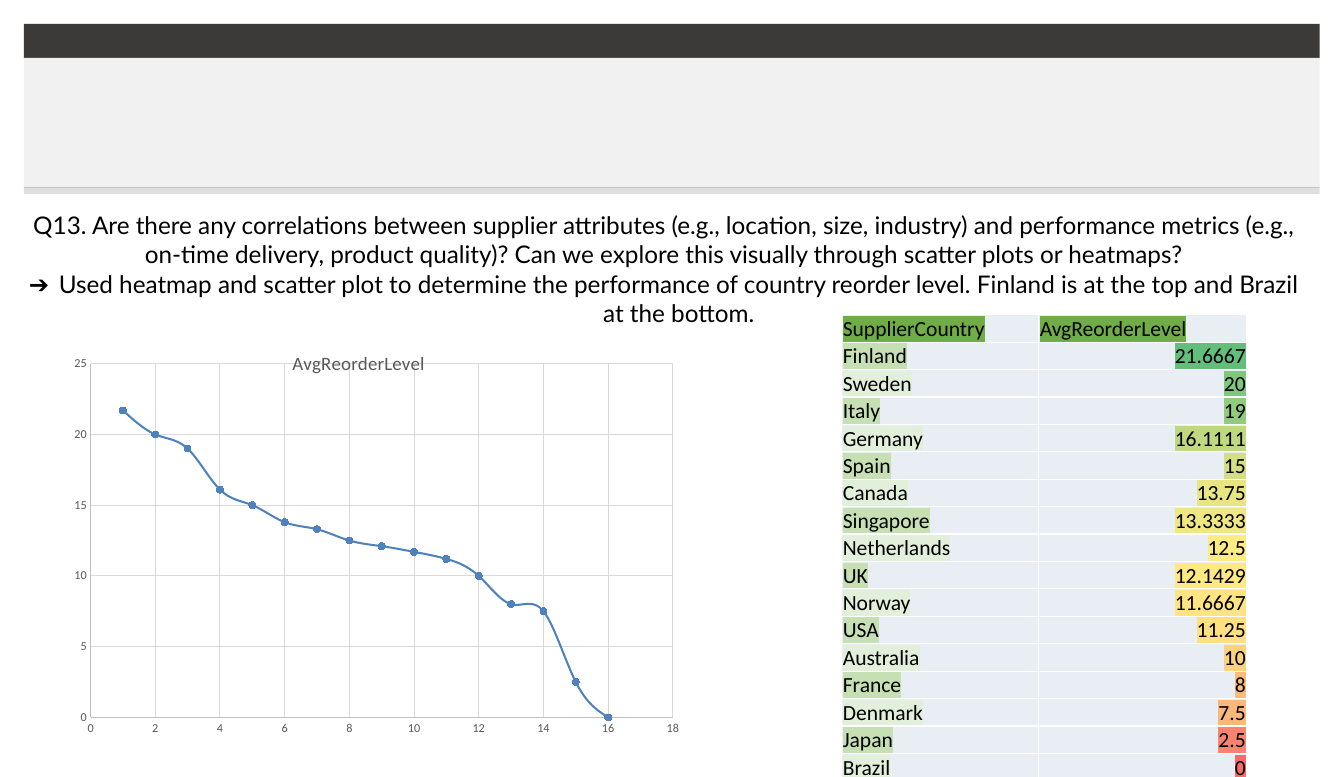
from lxml import etree
from pptx import Presentation
from pptx import util as u
from pptx.chart.data import XyChartData
from pptx.dml.color import RGBColor
from pptx.enum import chart as ch, shapes, text
from pptx.oxml import parse_xml
from pptx.oxml.ns import nsdecls, qn

# Content
QUESTION = ("Q13. Are there any correlations between supplier attributes (e.g., location, size, "
            "industry) and performance metrics (e.g., on-time delivery, product quality)? "
            "Can we explore this visually through scatter plots or heatmaps?")
ANSWER = ("Used heatmap and scatter plot to determine the performance of country reorder level. "
          "Finland is at the top and Brazil at the bottom.")
HEAD = ("SupplierCountry", "AvgReorderLevel")
LEVELS = [  # country, level, heat colour
    ("Finland", 21.6667, "63BE7B"), ("Sweden", 20, "7FC77D"), ("Italy", 19, "90CB7E"),
    ("Germany", 16.1111, "C0D981"), ("Spain", 15, "D3DF82"), ("Canada", 13.75, "E8E583"),
    ("Singapore", 13.3333, "EFE784"), ("Netherlands", 12.5, "FDEB84"),
    ("UK", 12.1429, "FEE983"), ("Norway", 11.6667, "FEE482"), ("USA", 11.25, "FEDF81"),
    ("Australia", 10, "FDD27F"), ("France", 8, "FCBD7B"), ("Denmark", 7.5, "FCB87A"),
    ("Japan", 2.5, "F98370"), ("Brazil", 0, "F8696B"),
]
GREENS = ("C6E0B4", "E2EFDA")
HEAD_HL = "70AD47"

BLACK = RGBColor(0, 0, 0)
WHITE = RGBColor(255, 255, 255)
DARK = RGBColor(0x3B, 0x3A, 0x38)
PALE = RGBColor(0xF2, 0xF1, 0xF1)
CELL = RGBColor(0xE9, 0xED, 0xF4)
GREY = RGBColor(0x59, 0x59, 0x59)
GRID = RGBColor(0xD9, 0xD9, 0xD9)
AXIS = RGBColor(0xBF, 0xBF, 0xBF)
BLUE = RGBColor(0x4F, 0x81, 0xBD)

BANDS = [  # top, height, colour, opacity %
    (24, 34, DARK, 100), (58, 1, BLACK, 11), (187, 1, BLACK, 11),
    (187, 7, BLACK, 13), (58, 129, PALE, 100),
]
LEFT, WIDE = 24, 1296
PX = 914400 / 97.2


def px(n):
    return u.Emu(round(n * PX))


def style(font, size, name, color):
    for key, val in {"size": u.Pt(size), "name": name, "bold": False}.items():
        setattr(font, key, val)
    font.color.rgb = color


def stroke(line, color, width):
    line.color.rgb = color
    line.width = u.Pt(width)


def write(para, words, size, name, mark=None):
    run = para.add_run()
    run.text = words
    style(run.font, size, name, BLACK)
    if mark:
        fill = run._r.rPr.find(qn("a:solidFill"))
        fill.addnext(parse_xml(f'<a:highlight {nsdecls("a")}><a:srgbClr val="{mark}"/></a:highlight>'))


def add_grid(slide, left, top, cols, rows, high):
    frame = slide.shapes.add_table(rows, len(cols), px(left), px(top), px(sum(cols)), px(rows * high))
    table = frame.table
    table.first_row = table.horz_banding = False
    for col, wide in zip(table.columns, cols):
        col.width = px(wide)
    for row in table.rows:
        row.height = px(high)
    return table


def dress(cell, color, anchor):
    """Fill, margins and white borders of a cell."""
    for key, val in {"margin_left": px(1), "margin_right": px(1), "margin_top": px(1),
                     "margin_bottom": 0, "vertical_anchor": anchor}.items():
        setattr(cell, key, val)
    cell.fill.solid()
    cell.fill.fore_color.rgb = color
    for at, side in enumerate("LRTB"):
        cell._tc.tcPr.insert(at, parse_xml(
            f'<a:ln{side} {nsdecls("a")} w="12700"><a:solidFill><a:srgbClr val="{WHITE}"/>'
            f'</a:solidFill></a:ln{side}>'))


def place(node, at, **spots):
    """Give a chart part a manual layout."""
    old = node.find(qn("c:layout"))
    if old is not None:
        node.remove(old)
    body = "".join(f'<c:{key} val="{val}"/>' for key, val in spots.items())
    node.insert(at, parse_xml(
        f'<c:layout {nsdecls("c")}><c:manualLayout>{body}</c:manualLayout></c:layout>'))


def add_bands(slide):
    for top, high, color, alpha in BANDS:
        band = slide.shapes.add_shape(shapes.MSO_SHAPE.RECTANGLE, px(LEFT), px(top), px(WIDE), px(high))
        band.shadow.inherit = False
        band.line.fill.background()
        band.fill.solid()
        band.fill.fore_color.rgb = color
        if alpha < 100:
            tone = band._element.spPr.find(".//" + qn("a:srgbClr"))
            etree.SubElement(tone, qn("a:alpha")).set("val", str(alpha * 1000))


def add_question(slide):
    cell = add_grid(slide, LEFT, 210, [1280], 1, 117).cell(0, 0)
    dress(cell, WHITE, text.MSO_ANCHOR.BOTTOM)
    first = cell.text_frame.paragraphs[0]
    second = cell.text_frame.add_paragraph()
    for para, words in ((first, QUESTION), (second, ANSWER)):
        para.alignment = text.PP_ALIGN.CENTER
        write(para, words, 18, "Lato")
    props = second._p.get_or_add_pPr()
    props.set("marL", str(px(30)))
    props.set("indent", str(-px(30)))
    etree.SubElement(props, qn("a:buFont")).set("typeface", "Lato")
    etree.SubElement(props, qn("a:buChar")).set("char", "➔")


def add_plot(slide):
    data = XyChartData()
    dots = data.add_series(HEAD[1])
    for rank, (_, level, _) in enumerate(LEVELS, 1):
        dots.add_data_point(rank, round(level, 1))
    chart = slide.shapes.add_chart(ch.XL_CHART_TYPE.XY_SCATTER_SMOOTH, px(65), px(316),
                                   px(640), px(437), data).chart
    chart.has_legend = False
    style(chart.font, 10, "Calibri", BLACK)
    plot = chart.plots[0]
    plot.vary_by_categories = False

    # Title, laid over the plot
    chart.has_title = True
    title = chart.chart_title
    title.text_frame.text = HEAD[1]
    style(title.text_frame.paragraphs[0].runs[0].font, 14, "Calibri", GREY)
    place(title._element, 1, xMode="edge", yMode="edge", x=0.35, y=0.07)
    title._element.find(qn("c:overlay")).set("val", "1")
    place(chart._chartSpace.chart.plotArea, 0, layoutTarget="inner", xMode="edge",
          yMode="edge", x=0.04, y=0.11, w=0.91, h=0.81)

    # Axes
    for axis, top, step in ((chart.category_axis, 18, 2), (chart.value_axis, 25, 5)):
        for key, val in {"minimum_scale": 0, "maximum_scale": top, "major_unit": step,
                         "has_major_gridlines": True, "major_tick_mark": ch.XL_TICK_MARK.NONE,
                         "minor_tick_mark": ch.XL_TICK_MARK.NONE}.items():
            setattr(axis, key, val)
        style(axis.tick_labels.font, 9, "Calibri", GREY)
        stroke(axis.format.line, AXIS, 0.75)
        stroke(axis.major_gridlines.format.line, GRID, 0.75)

    # Curve
    curve = plot.series[0]
    stroke(curve.format.line, BLUE, 1.5)
    curve.marker.style = ch.XL_MARKER_STYLE.CIRCLE
    curve.marker.size = 5
    curve.marker.format.fill.solid()
    curve.marker.format.fill.fore_color.rgb = BLUE
    stroke(curve.marker.format.line, BLUE, 0.75)
    for old in curve._element.findall(qn("c:smooth")):
        curve._element.remove(old)
    etree.SubElement(curve._element, qn("c:smooth")).set("val", "1")


def add_heat(slide):
    rows = [[(name, HEAD_HL) for name in HEAD]]
    for n, (name, level, heat) in enumerate(LEVELS):
        rows.append([(name, GREENS[n % 2]), (f"{level:g}", heat)])
    table = add_grid(slide, 842, 315, [197, 208], len(rows), 25)
    for r, row in enumerate(rows):
        for c, (words, mark) in enumerate(row):
            cell = table.cell(r, c)
            dress(cell, CELL, text.MSO_ANCHOR.MIDDLE if r else text.MSO_ANCHOR.BOTTOM)
            para = cell.text_frame.paragraphs[0]
            if r and c:
                para.alignment = text.PP_ALIGN.RIGHT
            write(para, words, 16, "Calibri", mark)


def main():
    deck = Presentation()
    deck.slide_width, deck.slide_height = u.Inches(13.83), u.Inches(8)
    slide = deck.slides.add_slide(deck.slide_layouts[6])
    add_bands(slide)
    add_question(slide)
    add_plot(slide)
    add_heat(slide)
    deck.save("out.pptx")


if __name__ == "__main__":
    main()
